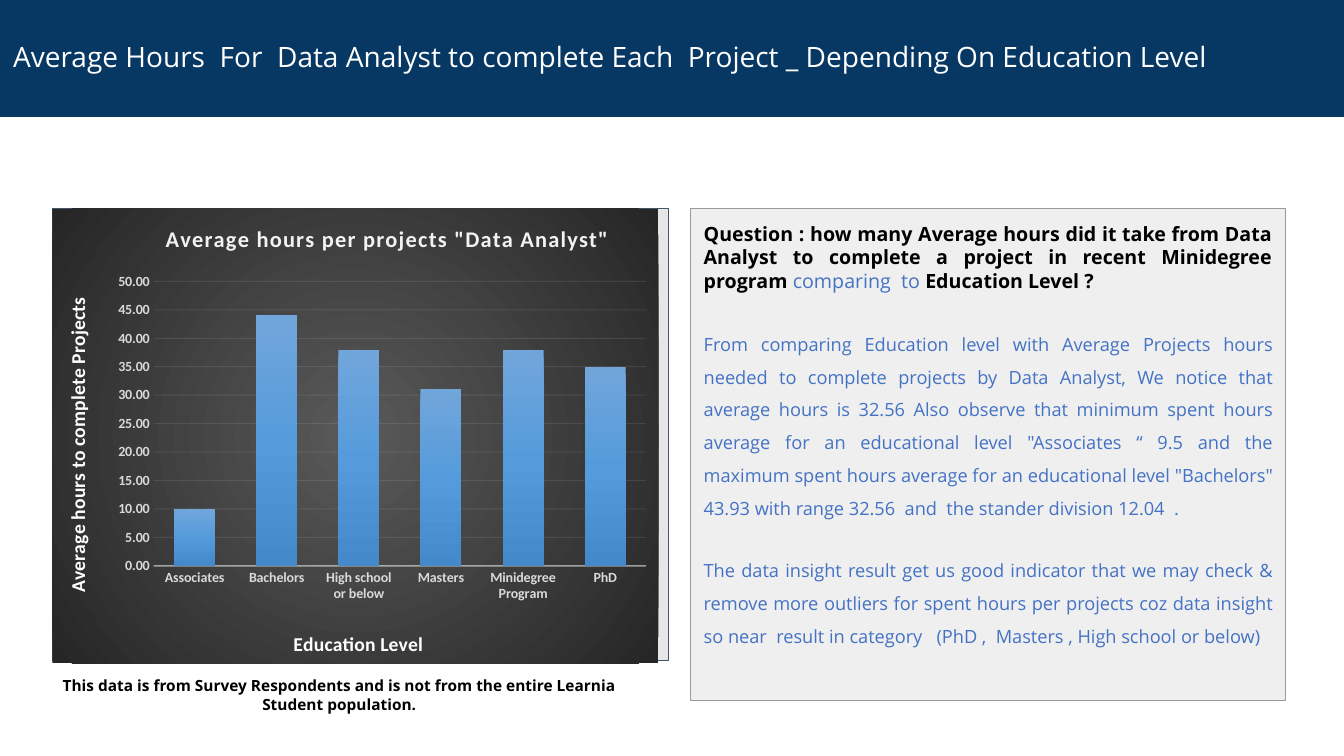
from lxml import etree
from pptx import Presentation
from pptx.chart.data import CategoryChartData
from pptx.dml.color import RGBColor
from pptx.enum.chart import XL_CHART_TYPE, XL_TICK_MARK
from pptx.enum.shapes import MSO_SHAPE
from pptx.enum.text import MSO_ANCHOR, PP_ALIGN
from pptx.oxml.ns import qn
from pptx.util import Inches, Pt

COLUMN = XL_CHART_TYPE.COLUMN_CLUSTERED
NO_TICK = XL_TICK_MARK.NONE
RECT = MSO_SHAPE.RECTANGLE
TOP, MIDDLE = MSO_ANCHOR.TOP, MSO_ANCHOR.MIDDLE
LEFT, CENTER, JUSTIFY = PP_ALIGN.LEFT, PP_ALIGN.CENTER, PP_ALIGN.JUSTIFY

WIDTH, HEIGHT = 13.33, 7.5
TOP_ROW = 2.07
FONT, CHART_FONT = "Open Sans", "Calibri"
COLORS = {
    "navy": "073763", "white": "FFFFFF", "black": "000000", "blue": "4472C4",
    "panel": "EFEFEF", "panel_line": "999999", "frame": "E7E6E6",
    "frame_line": "44546A", "labels": "D9D9D9", "pale": "F2F2F2",
    "chart_center": "595959", "chart_edge": "262626",
    "bar_top": "71A6DB", "bar_middle": "559BDB", "bar_bottom": "448ACA",
}
CHART_GRADIENT = [(0, "chart_center"), (100, "chart_edge")]
BAR_GRADIENT = [(0, "bar_top"), (50, "bar_middle"), (100, "bar_bottom")]
HOURS = {
    "Associates": 10, "Bachelors": 44, "High school or below": 38,
    "Masters": 31, "Minidegree Program": 38, "PhD": 35,
}
QUESTION = [
    ("Question : how many Average hours did it take from Data Analyst to complete "
     "a project in recent Minidegree program ", "black", True),
    ("comparing  to ", "blue", False),
    ("Education Level ?", "black", True),
]
FINDINGS = [
    'From comparing Education level with Average Projects hours needed to complete '
    'projects by Data Analyst, We notice that average hours is 32.56 Also observe that '
    'minimum spent hours average for an educational level "Associates “ 9.5 and the '
    'maximum spent hours average for an educational level "Bachelors" 43.93 with range '
    '32.56  and  the stander division 12.04  . ',
    "The data insight result get us good indicator that we may check & remove more "
    "outliers for spent hours per projects coz data insight so near  result in category "
    "  (PhD ,  Masters , High school or below) ",
]


def rgb(name):
    return RGBColor.from_string(COLORS[name])


def add_text(p, text, size, color, bold=False, font=FONT, align=None, line=None, after=None):
    r = p.add_run()
    r.text = text
    r.font.size, r.font.bold, r.font.name = Pt(size), bold, font
    r.font.color.rgb = rgb(color)
    if align is not None:
        p.alignment = align
    if line is not None:
        p.line_spacing = line
    if after is not None:
        p.space_after = Pt(after)
    return r


def add_panel(s, box, fill, line=None, anchor=TOP):
    sp = s.shapes.add_shape(RECT, *map(Inches, box))
    sp.shadow.inherit = False
    sp.fill.solid()
    sp.fill.fore_color.rgb = rgb(fill)
    if line:
        sp.line.color.rgb = rgb(line)
        sp.line.width = Pt(0.75)
    else:
        sp.line.fill.background()
    tf = sp.text_frame
    tf.word_wrap, tf.vertical_anchor = True, anchor
    tf.margin_left = tf.margin_right = tf.margin_top = tf.margin_bottom = Inches(0.13)
    return tf


def set_gradient(parent, stops, radial=False):
    for old in parent.findall(qn("a:solidFill")):
        parent.remove(old)
    grad = etree.Element(qn("a:gradFill"), rotWithShape="1")
    parent.insert(0, grad)
    stop_list = etree.SubElement(grad, qn("a:gsLst"))
    for position, color in stops:
        stop = etree.SubElement(stop_list, qn("a:gs"), pos=str(position * 1000))
        etree.SubElement(stop, qn("a:srgbClr"), val=COLORS[color])
    if radial:
        shade = etree.SubElement(grad, qn("a:path"), path="circle")
        etree.SubElement(shade, qn("a:fillToRect"), l="50000", t="50000", r="50000", b="50000")
    else:
        etree.SubElement(grad, qn("a:lin"), ang="5400000", scaled="0")


def set_layout(parent, index, inner=False, **shares):
    for old in parent.findall(qn("c:layout")):
        parent.remove(old)
    layout = etree.Element(qn("c:layout"))
    parent.insert(index, layout)
    manual = etree.SubElement(layout, qn("c:manualLayout"))
    if inner:
        etree.SubElement(manual, qn("c:layoutTarget"), val="inner")
    for mode in ("xMode", "yMode"):
        etree.SubElement(manual, qn("c:" + mode), val="edge")
    for key, share in shares.items():
        etree.SubElement(manual, qn("c:" + key), val=str(share))


def add_title(title, text, size, color, x, y):
    r = add_text(title.text_frame.paragraphs[0], text, size, color, True, CHART_FONT)
    set_layout(title._element, 1, x=x, y=y)
    return r


def set_pale_line(line, width, percent, holder):
    line.color.rgb = rgb("pale")
    line.width = Pt(width)
    color = holder.find(qn("c:spPr")).find(".//" + qn("a:srgbClr"))
    etree.SubElement(color, qn("a:alpha"), val=str(percent * 1000))


def add_hours_chart(s, box):
    data = CategoryChartData(number_format="0.00")
    data.categories = list(HOURS)
    data.add_series("Series 1", list(HOURS.values()))
    chart = s.shapes.add_chart(COLUMN, *map(Inches, box), data).chart
    chart.has_legend = False
    chart.font.name, chart.font.size = CHART_FONT, Pt(10)
    chart.font.color.rgb = rgb("black")
    heading = add_title(chart.chart_title, 'Average hours per projects "Data Analyst"',
                        16, "pale", 0.18, 0.025)
    heading.font._element.set("spc", "100")

    space = chart._chartSpace
    background = etree.Element(qn("c:spPr"))
    space.find(qn("c:chart")).addnext(background)
    set_gradient(background, CHART_GRADIENT, radial=True)
    outline = etree.SubElement(background, qn("a:ln"))
    etree.SubElement(outline, qn("a:noFill"))
    set_layout(space.find(".//" + qn("c:plotArea")), 0, inner=True, x=0.167, y=0.16, w=0.813, h=0.626)

    plot = chart.plots[0]
    plot.gap_width, plot.overlap, plot.vary_by_categories = 100, -24, False
    bars = plot.series[0]
    bars.format.fill.solid()
    set_gradient(bars._element.find(qn("c:spPr")), BAR_GRADIENT)

    category, value = chart.category_axis, chart.value_axis
    titles = [(category, "Education Level", 0.392, 0.92),
              (value, "Average hours to complete Projects", 0.013, 0.187)]
    for axis, text, x, y in titles:
        axis.major_tick_mark = axis.minor_tick_mark = NO_TICK
        font = axis.tick_labels.font
        font.name, font.size, font.bold = CHART_FONT, Pt(10), True
        font.color.rgb = rgb("labels")
        add_title(axis.axis_title, text, 14, "white", x, y)
    set_pale_line(category.format.line, 1, 54, category._element)
    value.minimum_scale, value.maximum_scale, value.major_unit = 0, 50, 5
    value.tick_labels.number_format = "0.00"
    value.tick_labels.number_format_is_linked = False
    value.format.line.fill.background()
    grid = value.major_gridlines
    set_pale_line(grid.format.line, 0.75, 10, value._element.find(qn("c:majorGridlines")))


def add_findings(s, box):
    tf = add_panel(s, box, "panel", "panel_line")
    for text, color, bold in QUESTION:
        add_text(tf.paragraphs[0], text, 14, color, bold, align=JUSTIFY, after=21.3)
    for text in FINDINGS:
        add_text(tf.add_paragraph(), text, 13, "blue", align=JUSTIFY, line=1.5, after=21.3)


def add_header(s, box):
    tf = add_panel(s, box, "navy", anchor=MIDDLE)
    add_text(tf.paragraphs[0], "Average Hours  For  Data Analyst to complete Each  Project _ "
             "Depending On Education Level", 20, "white", align=LEFT, line=0.9)


def add_note(s, box):
    tf = s.shapes.add_textbox(*map(Inches, box)).text_frame
    tf.word_wrap = True
    add_text(tf.paragraphs[0], "This data is from Survey Respondents and is not from the entire "
             "Learnia Student population.", 11, "black", True, align=CENTER)


def main():
    prs = Presentation()
    prs.slide_width, prs.slide_height = Inches(WIDTH), Inches(HEIGHT)
    s = prs.slides.add_slide(prs.slide_layouts[6])
    add_findings(s, (6.85, TOP_ROW, 5.9, 4.88))
    add_panel(s, (0.52, TOP_ROW, 6.11, 4.48), "frame", "frame_line")
    add_header(s, (0, 0, WIDTH, 1.16))
    add_hours_chart(s, (0.52, TOP_ROW, 6.01, 4.51))
    add_note(s, (0.52, 6.66, 5.69, 0.47))
    prs.save("out.pptx")


if __name__ == "__main__":
    main()
